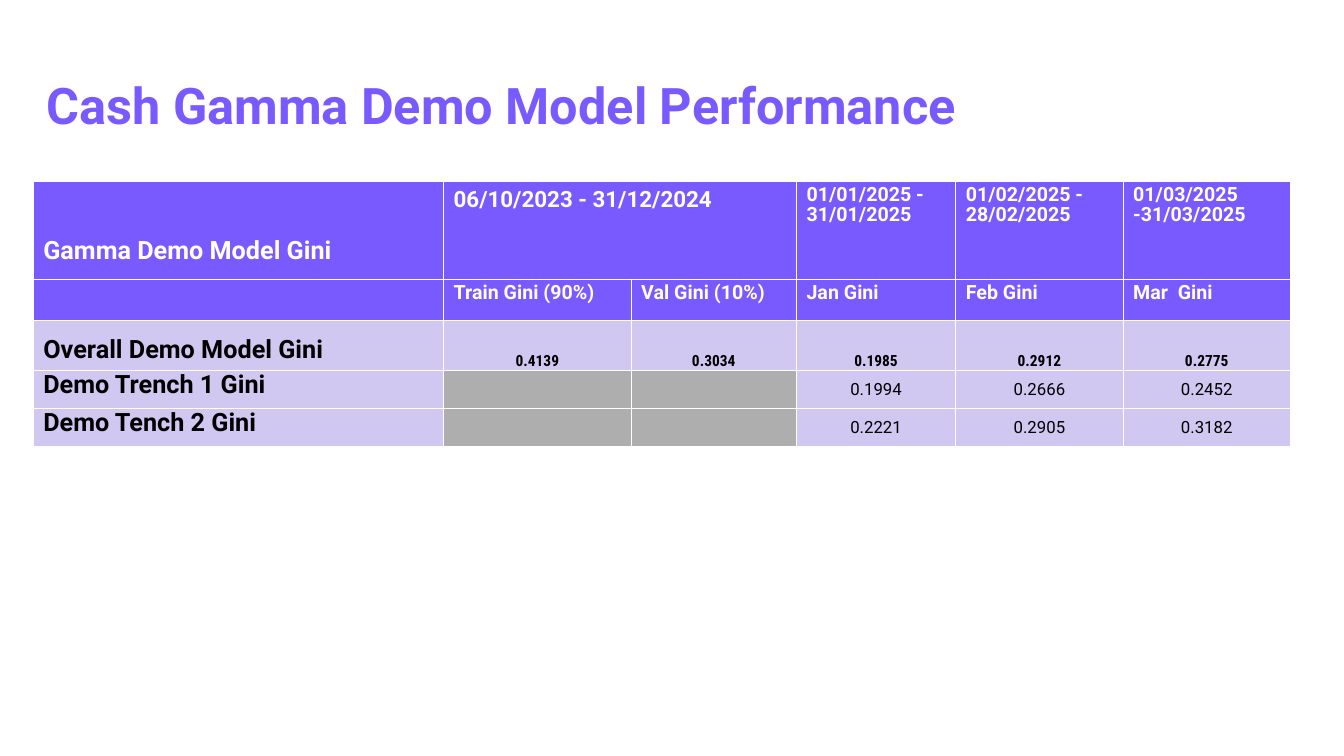
from dataclasses import dataclass

from lxml import etree
from pptx import Presentation
from pptx.dml.color import RGBColor
from pptx.enum import text as t
from pptx.oxml import ns
from pptx.util import Inches, Pt

VIOLET, LILAC, GREY, WHITE, BLACK = "785AFF", "D0C8F1", "AEAEAE", "FFFFFF", "000000"
TOP, MID, LOW = t.MSO_ANCHOR.TOP, t.MSO_ANCHOR.MIDDLE, t.MSO_ANCHOR.BOTTOM
LEFT, CENTER = t.PP_ALIGN.LEFT, t.PP_ALIGN.CENTER
WIDTHS = [4.07, 1.86, 1.64, 1.58, 1.66, 1.66]
HEIGHTS = [0.97, 0.39, 0.49, 0.38, 0.38]


@dataclass(frozen=True)
class Style:
    fill: str
    color: str
    size: int
    bold: bool = True
    font: str = "Roboto"
    align: t.PP_ALIGN = LEFT
    anchor: t.MSO_ANCHOR = TOP
    line: float | None = 14.2
    pads: tuple[float, float, float, float] = (0.1, 0.05, 0.1, 0.05)


@dataclass(frozen=True)
class Row:
    texts: list[str]
    styles: list[Style]


HEAD = Style(VIOLET, WHITE, 14)
MODEL = Style(VIOLET, WHITE, 18, pads=(0.1, 0.64, 0.1, 0.05))
PERIOD = Style(VIOLET, WHITE, 16, line=None)
TOTAL = Style(LILAC, BLACK, 18, pads=(0.1, 0.25, 0.1, 0.05))
SCORE = Style(LILAC, BLACK, 11, font="Roboto Condensed", align=CENTER,
              anchor=LOW, line=None, pads=(0.01, 0.01, 0.01, 0))
LABEL = Style(LILAC, BLACK, 18, anchor=MID)
VALUE = Style(LILAC, BLACK, 12, bold=False, align=CENTER, anchor=MID)
BLANK = Style(GREY, BLACK, 12, pads=(0, 0, 0, 0))
TRENCH = [LABEL] + [BLANK] * 2 + [VALUE] * 3

ROWS = [
    Row(["Gamma Demo Model Gini", "06/10/2023 - 31/12/2024", "",
         "01/01/2025 - 31/01/2025", "01/02/2025 - 28/02/2025",
         "01/03/2025 -31/03/2025"], [MODEL] + [PERIOD] * 2 + [HEAD] * 3),
    Row(["", "Train Gini (90%)", "Val Gini (10%)", "Jan Gini", "Feb Gini",
         "Mar  Gini"], [HEAD] * 6),
    Row(["Overall Demo Model Gini", "0.4139", "0.3034", "0.1985", "0.2912",
         "0.2775"], [TOTAL] + [SCORE] * 5),
    Row(["Demo Trench 1 Gini", "", "", "0.1994", "0.2666", "0.2452"], TRENCH),
    Row(["Demo Tench 2 Gini", "", "", "0.2221", "0.2905", "0.3182"], TRENCH),
]


def paint(target, tone: str) -> None:
    target.rgb = RGBColor.from_string(tone)


def format_text(para, font: str, size: int, tone: str, bold: bool) -> None:
    for run in para.runs:
        run.font.name = font
        run.font.size = Pt(size)
        run.font.bold = bold
        paint(run.font.color, tone)


def add_edges(cell) -> None:
    props = cell._tc.get_or_add_tcPr()
    for side in ("lnL", "lnR", "lnT", "lnB"):
        edge = etree.SubElement(props, ns.qn(f"a:{side}"), w=str(Pt(0.5)))
        fill = etree.SubElement(edge, ns.qn("a:solidFill"))
        etree.SubElement(fill, ns.qn("a:srgbClr"), val=WHITE)


def fill_cell(cell, words: str, style: Style) -> None:
    add_edges(cell)
    cell.fill.solid()
    paint(cell.fill.fore_color, style.fill)
    cell.vertical_anchor = style.anchor
    (cell.margin_left, cell.margin_top,
     cell.margin_right, cell.margin_bottom) = map(Inches, style.pads)
    cell.text_frame.text = words
    para = cell.text_frame.paragraphs[0]
    para.alignment = style.align
    if style.line:
        para.line_spacing = Pt(style.line)
    format_text(para, style.font, style.size, style.color, style.bold)


def add_title(slide) -> None:
    title = slide.shapes.title
    title.left, title.top = Inches(0.36), Inches(0.69)
    title.width, title.height = Inches(9.83), Inches(0.76)
    frame = title.text_frame
    frame.text = "Cash Gamma Demo Model Performance"
    frame.word_wrap = True
    frame.vertical_anchor = MID
    para = frame.paragraphs[0]
    para.alignment = LEFT
    para.line_spacing = 0.9
    format_text(para, "Roboto", 36, VIOLET, True)


def add_scores(slide) -> None:
    table = slide.shapes.add_table(
        len(HEIGHTS), len(WIDTHS), Inches(0.33), Inches(1.8),
        Inches(sum(WIDTHS)), Inches(sum(HEIGHTS))).table
    table.first_row = table.horz_banding = False
    for col, width in zip(table.columns, WIDTHS):
        col.width = Inches(width)
    for line, height, row in zip(table.rows, HEIGHTS, ROWS):
        line.height = Inches(height)
        for cell, words, style in zip(line.cells, row.texts, row.styles):
            fill_cell(cell, words, style)
    table.cell(0, 1).merge(table.cell(0, 2))


def main() -> None:
    deck = Presentation()
    deck.slide_width, deck.slide_height = Inches(13.33), Inches(7.5)
    slide = deck.slides.add_slide(deck.slide_layouts[5])
    add_title(slide)
    add_scores(slide)
    deck.save("out.pptx")


if __name__ == "__main__":
    main()
